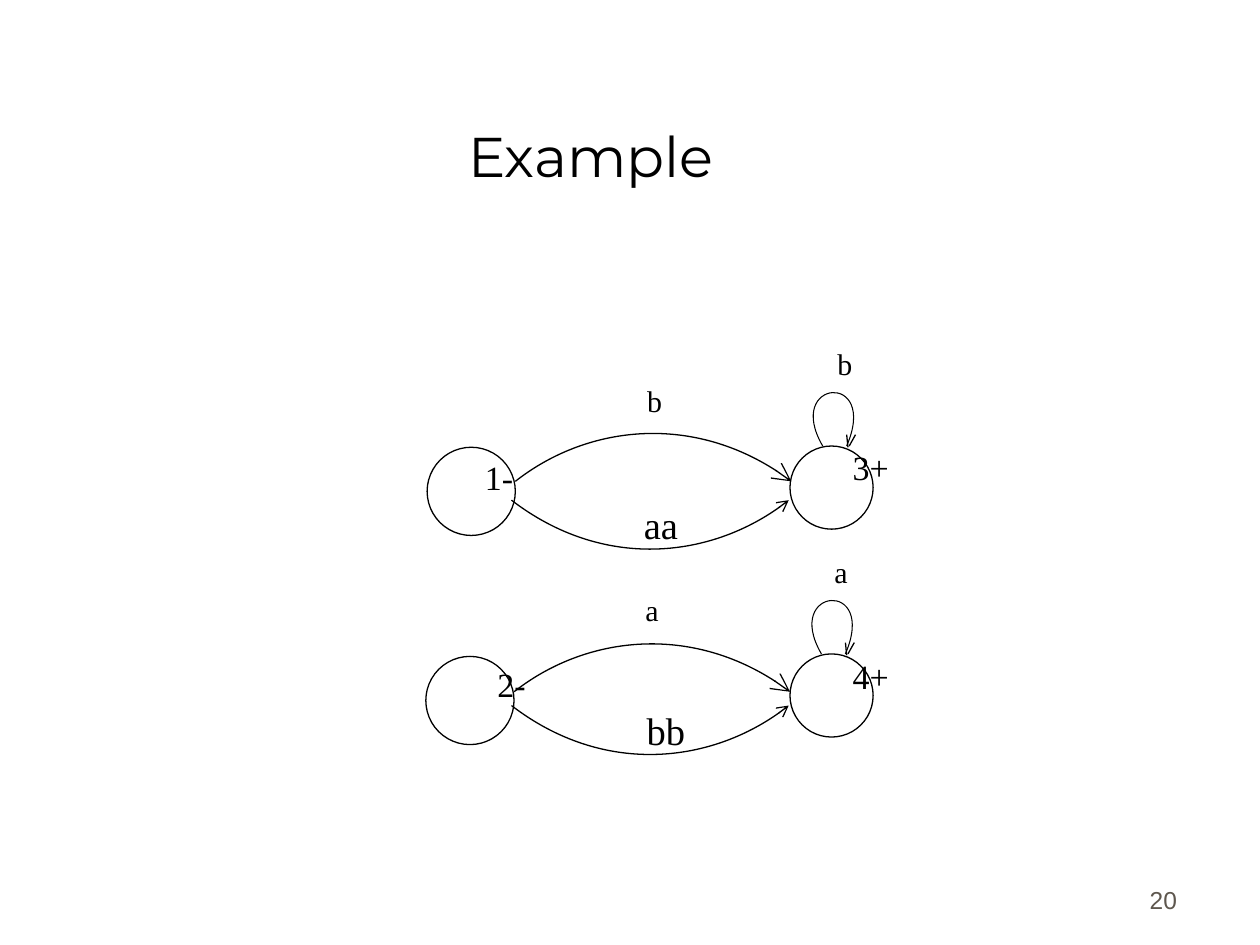
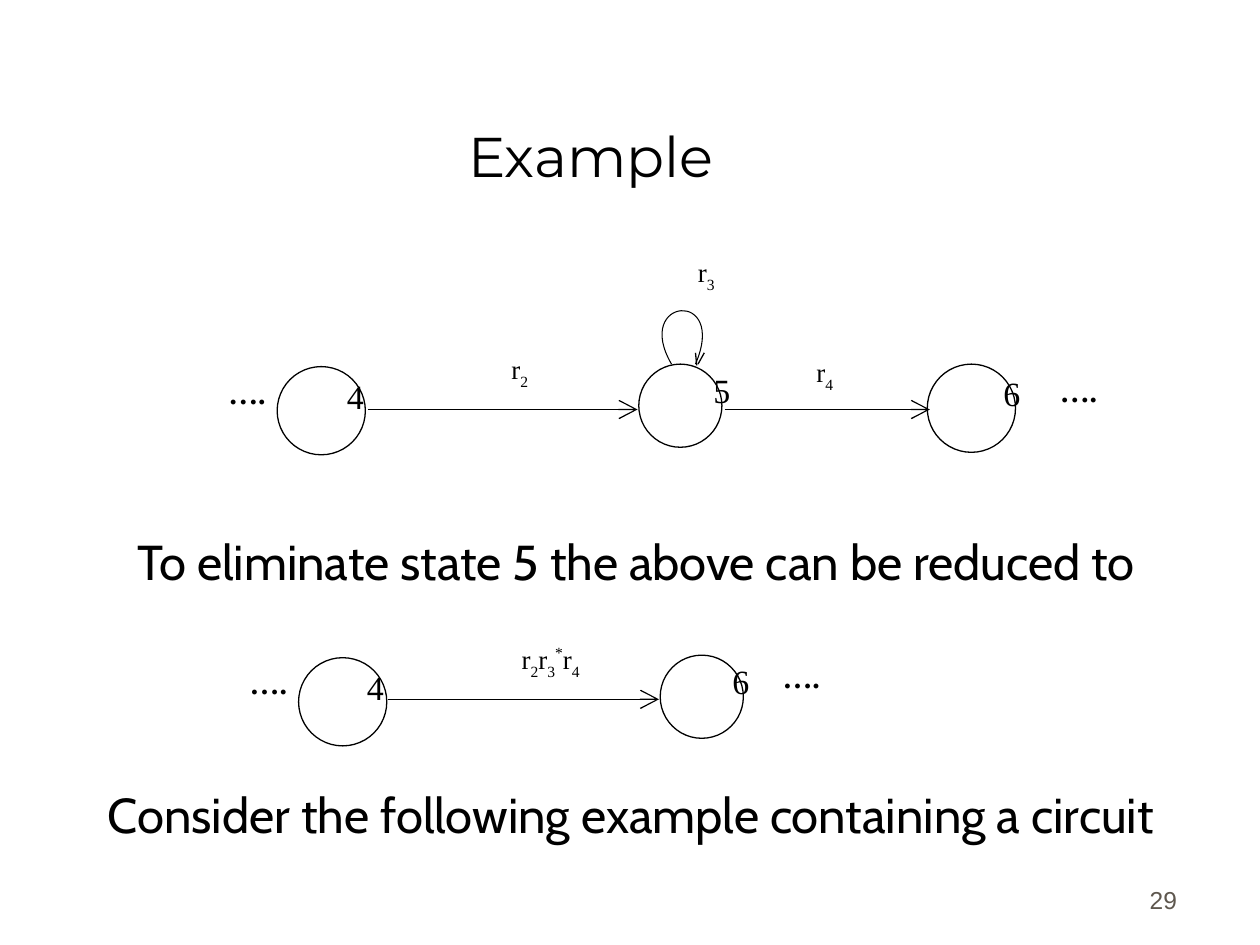
from lxml import etree
from pptx import Presentation
from pptx import util as u
from pptx.dml.color import RGBColor
from pptx.enum import shapes, text
from pptx.oxml import ns

BLACK = RGBColor(0x00, 0x00, 0x00)
WHITE = RGBColor(0xFF, 0xFF, 0xFF)
GREY = RGBColor(0x5E, 0x57, 0x4E)
SERIF = "Times New Roman"
BASELINES = {"*": "40000", "2": "-30000", "3": "-30000", "4": "-30000"}

ARC_UP = [(0.56, -0.44), (1.47, -0.55), (2.19, 0)]
ARC_DOWN = [(0.73, 0.56), (1.64, 0.45), (2.2, 0)]
LOOP = [(-0.31, -0.53), (0.45, -0.6), (0.19, 0)]
LOOP_BARBS = [(0.21, 0, 0.26, -0.09), (0.19, -0.09, 0.2, 0.01)]

STATE = dict(w=1.02, h=0.42, size=19.4, spacing=0.8)
LETTER = dict(w=0.41, h=0.4, size=17.1, spacing=0.8)
WORD = dict(w=0.59, h=0.5, size=22)
DOTS = dict(w=0.76, h=0.42, size=17.1, spacing=0.8, bold=True)
REGEX = dict(w=0.91, h=0.42, size=15.4, spacing=0.8, scripts=True)
SENTENCE = dict(w=9.67, h=0.57, size=28, font="Cabin")

SLIDES = [
    dict(
        number="20",
        circles=[(3.39, 3.55, 0.7), (6.27, 3.54, 0.66), (3.38, 5.21, 0.7), (6.27, 5.19, 0.66)],
        arcs=[(4.09, 3.82, ARC_UP, "lg"), (4.06, 3.97, ARC_DOWN, "med"),
              (4.08, 5.49, ARC_UP, "lg"), (4.06, 5.6, ARC_DOWN, "med")],
        loops=[(6.53, 3.54), (6.52, 5.19)],
        arrows=[],
        labels=[("1-", 3.45, 3.64, STATE), ("2-", 3.55, 5.28, STATE),
                ("3+", 6.4, 3.56, STATE), ("4+", 6.4, 5.22, STATE),
                ("b", 4.99, 3.04, LETTER), ("a", 4.97, 4.7, LETTER),
                ("b", 6.5, 2.75, LETTER), ("a", 6.47, 4.4, LETTER),
                ("aa", 4.95, 3.93, WORD), ("bb", 4.99, 5.56, WORD)],
    ),
    dict(
        number="29",
        circles=[(2.2, 2.91, 0.7), (5.07, 2.89, 0.66), (7.36, 2.89, 0.7),
                 (2.37, 5.22, 0.7), (5.24, 5.2, 0.66)],
        arcs=[],
        loops=[(5.33, 2.89)],
        arrows=[(2.92, 5.06, 3.25), (5.75, 7.38, 3.25), (3.08, 5.23, 5.55)],
        labels=[("4", 2.31, 2.99, STATE), ("5", 5.22, 2.95, STATE), ("6", 7.52, 2.97, STATE),
                ("4", 2.47, 5.3, STATE), ("6", 5.37, 5.26, STATE),
                ("….", 1.58, 2.98, DOTS), ("….", 8.18, 2.96, DOTS),
                ("….", 1.75, 5.28, DOTS), ("….", 5.98, 5.23, DOTS),
                ("r2", 3.67, 2.77, REGEX), ("r3", 5.15, 2, REGEX), ("r4", 6.09, 2.79, REGEX),
                ("r2r3*r4", 3.58, 5.07, dict(REGEX, w=1.58)),
                ("To eliminate state 5 the above can be reduced to", 0.21, 4.17, SENTENCE),
                ("Consider the following example containing a circuit", 0.17, 6.18, SENTENCE)],
    ),
]


def add_text(slide, words, x, y, w, h, size, font=SERIF, color=BLACK, bold=False, spacing=None,
             align=text.PP_ALIGN.CENTER, anchor=text.MSO_ANCHOR.TOP, inset=0.05, scripts=False):
    tf = slide.shapes.add_textbox(*map(u.Inches, (x, y, w, h))).text_frame
    tf.word_wrap = True
    tf.vertical_anchor = anchor
    tf.margin_left = tf.margin_right = u.Inches(2 * inset)
    tf.margin_top = tf.margin_bottom = u.Inches(inset)
    p = tf.paragraphs[0]
    p.alignment = align
    p.line_spacing = spacing
    for part in words if scripts else [words]:
        r = p.add_run()
        r.text = part
        r.font.size = u.Pt(size)
        r.font.name = font
        r.font.bold = bold
        r.font.color.rgb = color
        if scripts and part in BASELINES:
            r._r.get_or_add_rPr().set("baseline", BASELINES[part])


def style_line(s, width=0.75, arrow=None):
    s.line.color.rgb = BLACK
    s.line.width = u.Pt(width)
    etree.SubElement(s._element.spPr, ns.qn("a:effectLst"))
    if arrow:
        etree.SubElement(s.line._get_or_add_ln(), ns.qn("a:tailEnd"), type="arrow", w=arrow, len=arrow)


prs = Presentation()
prs.slide_width = u.Inches(10)
prs.slide_height = u.Inches(7.5)

for content in SLIDES:
    slide = prs.slides.add_slide(prs.slide_layouts[6])
    add_text(slide, content["number"], 7.36, 6.81, 2.08, 0.5, 14, font="Arial", color=GREY,
             align=text.PP_ALIGN.RIGHT, anchor=text.MSO_ANCHOR.BOTTOM)
    add_text(slide, "Example", 0.44, 0.25, 8.5, 1.25, 32, font="Montserrat",
             anchor=text.MSO_ANCHOR.BOTTOM, inset=0)

    for x, y, d in content["circles"]:
        s = slide.shapes.add_shape(shapes.MSO_SHAPE.OVAL, *map(u.Inches, (x, y, d, d)))
        s.fill.solid()
        s.fill.fore_color.rgb = WHITE
        style_line(s)

    curves = [(x, y, bends, 0.75, arrow) for x, y, bends, arrow in content["arcs"]]
    curves += [(x, y, LOOP, 0.6, None) for x, y in content["loops"]]
    for x, y, bends, width, arrow in curves:
        builder = slide.shapes.build_freeform(u.Inches(x), u.Inches(y))
        builder.add_line_segments([(u.Inches(x + dx), u.Inches(y + dy)) for dx, dy in bends], close=False)
        s = builder.convert_to_shape()
        s.fill.background()
        style_line(s, width, arrow)
        outline = next(s._element.iter(ns.qn("a:path")))
        bezier = etree.SubElement(outline, ns.qn("a:cubicBezTo"))
        for segment in outline.findall(ns.qn("a:lnTo")):
            bezier.append(segment[0])
            outline.remove(segment)

    lines = [(x1, y, x2, y, "lg") for x1, x2, y in content["arrows"]]
    lines += [(x + x1, y + y1, x + x2, y + y2, None)
              for x, y in content["loops"] for x1, y1, x2, y2 in LOOP_BARBS]
    for *ends, arrow in lines:
        s = slide.shapes.add_connector(shapes.MSO_CONNECTOR.STRAIGHT, *map(u.Inches, ends))
        style_line(s, arrow=arrow)

    for words, x, y, style in content["labels"]:
        add_text(slide, words, x, y, **style)

prs.save("out.pptx")
